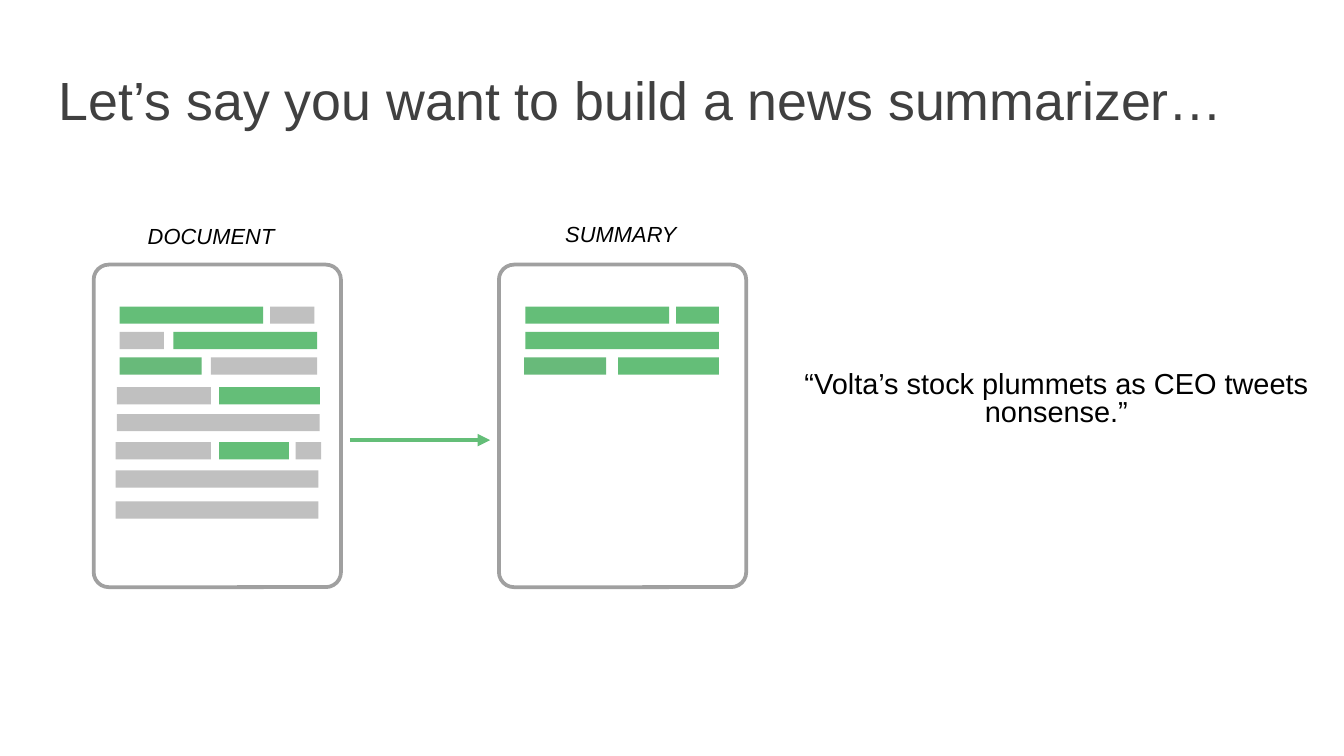
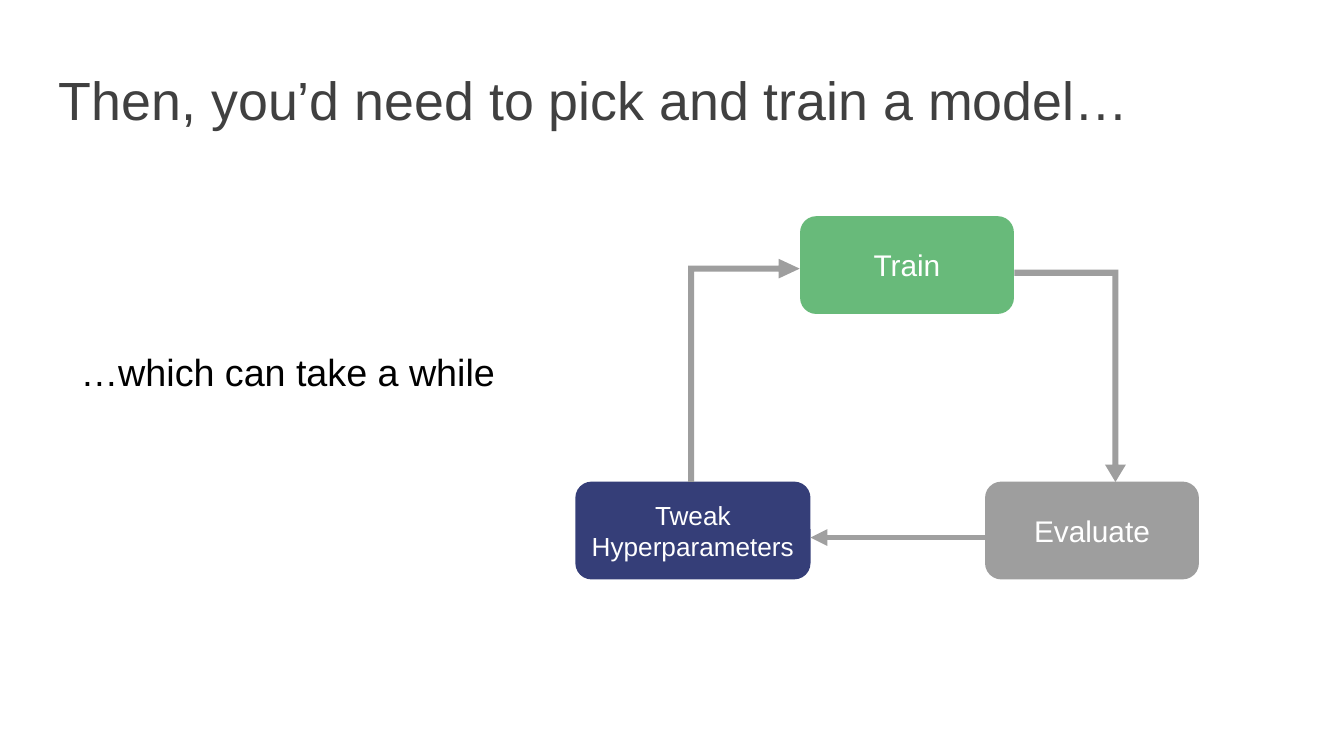
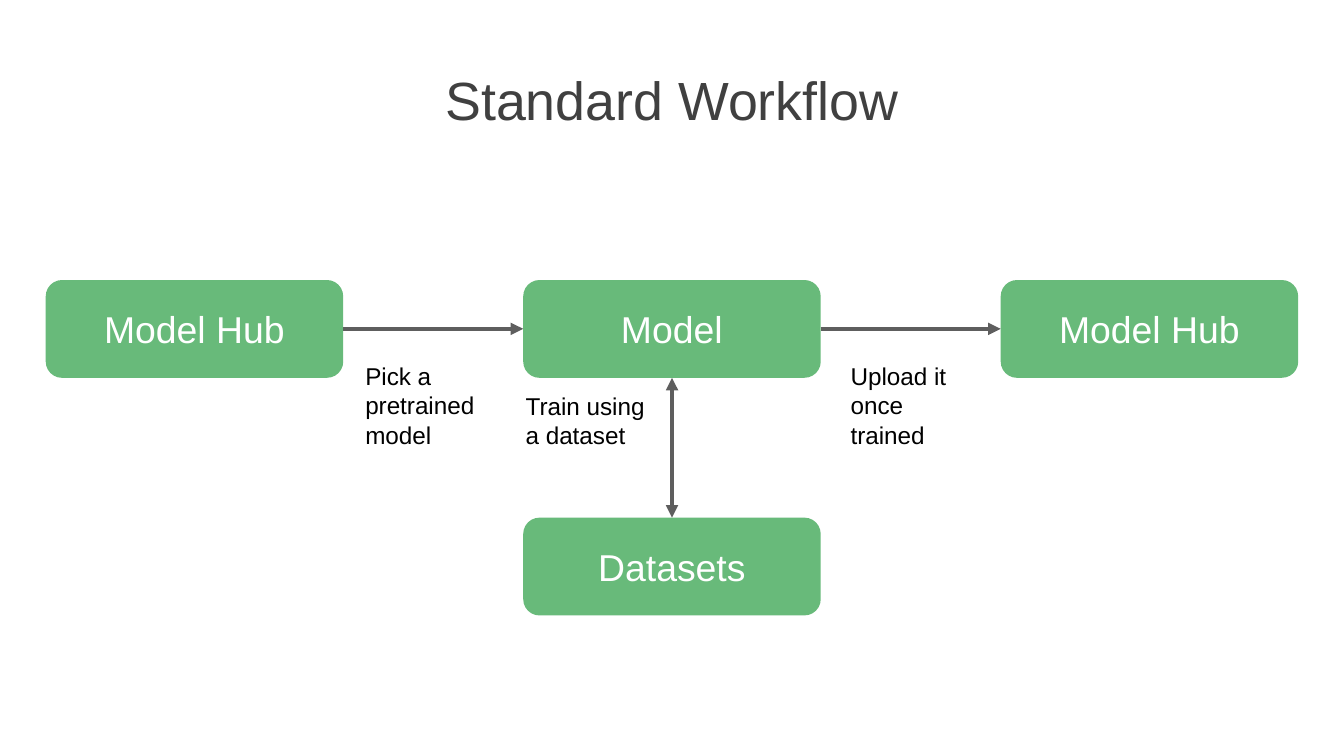
from lxml import etree
from pptx import Presentation
from pptx.dml.color import RGBColor
from pptx.enum.shapes import MSO_CONNECTOR, MSO_SHAPE
from pptx.enum.text import MSO_ANCHOR, PP_ALIGN
from pptx.oxml.ns import qn
from pptx.util import Pt

STRAIGHT = MSO_CONNECTOR.STRAIGHT
RECTANGLE = MSO_SHAPE.RECTANGLE
ROUNDED = MSO_SHAPE.ROUNDED_RECTANGLE
BENT_ARROW = MSO_SHAPE.BENT_UP_ARROW
TOP = MSO_ANCHOR.TOP
MIDDLE = MSO_ANCHOR.MIDDLE
LEFT = PP_ALIGN.LEFT
CENTER = PP_ALIGN.CENTER

FONT = "Arial"
BLACK = RGBColor(0x00, 0x00, 0x00)
WHITE = RGBColor(0xFF, 0xFF, 0xFF)
TITLE_GRAY = RGBColor(0x40, 0x40, 0x40)
ARROW_GRAY = RGBColor(0x5E, 0x5E, 0x5E)
BOX_GRAY = RGBColor(0x9E, 0x9E, 0x9E)
OUTLINE_GRAY = RGBColor(0xA0, 0xA0, 0xA0)
BAR_GRAY = RGBColor(0xC0, 0xC0, 0xC0)
GREEN = RGBColor(0x64, 0xBE, 0x78)
LEAF = RGBColor(0x68, 0xBA, 0x7A)
NAVY = RGBColor(0x35, 0x3E, 0x78)

TITLE = dict(size=28.8, color=TITLE_GRAY, spacing=0.8)
REMARK = dict(align=CENTER, spacing=0.8)
LABEL = dict(kind=ROUNDED, color=WHITE, align=CENTER, anchor=MIDDLE, inset=4.3)


def place(page, text, left, top, width, height, kind=None, fill=None, outline=None,
          adjust=(), size=13, color=BLACK, italic=False, align=LEFT, anchor=TOP,
          spacing=1.0, inset=7.2):
    area = Pt(left), Pt(top), Pt(width), Pt(height)
    if kind is None:
        box = page.shapes.add_textbox(*area)
    else:
        box = page.shapes.add_shape(kind, *area)
        box.shadow.inherit = False
        box.fill.solid()
        box.fill.fore_color.rgb = fill
        if outline is None:
            box.line.fill.background()
        else:
            box.line.color.rgb = outline
            box.line.width = Pt(2)
        for index, value in enumerate(adjust):
            box.adjustments[index] = value
    if text:
        frame = box.text_frame
        frame.word_wrap = True
        frame.vertical_anchor = anchor
        frame.margin_left = frame.margin_right = Pt(inset)
        frame.margin_top = frame.margin_bottom = Pt(inset)
        for index, words in enumerate(text.split("\n")):
            para = frame.add_paragraph() if index else frame.paragraphs[0]
            para.alignment = align
            para.line_spacing = spacing
            span = para.add_run()
            span.text = words
            span.font.name = FONT
            span.font.size = Pt(size)
            span.font.italic = italic
            span.font.color.rgb = color
    return box


def draw_arrow(page, start, end, color, width=2.25, heads=("tailEnd",)):
    arrow = page.shapes.add_connector(STRAIGHT, *map(Pt, start + end))
    arrow.line.color.rgb = color
    arrow.line.width = Pt(width)
    properties = arrow.element.spPr
    for head in heads:
        etree.SubElement(properties.find(qn("a:ln")), qn("a:" + head), type="triangle")
    etree.SubElement(properties, qn("a:effectLst"))


deck = Presentation()
deck.slide_width = Pt(720)
deck.slide_height = Pt(405)
blank = deck.slide_layouts[6]

page = deck.slides.add_slide(blank)
place(page, "Let’s say you want to build a news summarizer…", 24.5, 35.3, 671, 45.4, **TITLE)
place(page, "“Volta’s stock plummets as CEO tweets nonsense.”",
      411.8, 192.2, 308.2, 45.4, size=15.5, **REMARK)

document_rows = [
    (164.2, [(64.1, 77, GREEN), (144.7, 23.8, BAR_GRAY)]),
    (177.8, [(64.1, 23.8, BAR_GRAY), (92.9, 77, GREEN)]),
    (191.5, [(64.1, 43.9, LEAF), (113, 56.9, BAR_GRAY)]),
    (207.4, [(62.6, 50.4, BAR_GRAY), (117.4, 54, GREEN)]),
    (221.8, [(62.6, 108.7, BAR_GRAY)]),
    (236.9, [(61.9, 51.1, BAR_GRAY), (117.4, 37.4, GREEN), (158.4, 13.7, BAR_GRAY)]),
    (252, [(61.9, 108.7, BAR_GRAY)]),
    (268.6, [(61.9, 108.7, BAR_GRAY)]),
]
summary_rows = [
    (164.2, [(281.5, 77, GREEN), (362.2, 23, GREEN)]),
    (177.8, [(281.5, 103.7, GREEN)]),
    (191.5, [(280.8, 43.9, LEAF), (331.2, 54, GREEN)]),
]
for name, name_left, name_top, name_width, sheet_left, rows in [
    ("DOCUMENT", 67, 116.6, 92.2, 50.2, document_rows),
    ("SUMMARY", 280.8, 115.4, 103.7, 267.3, summary_rows),
]:
    place(page, "", sheet_left, 141.8, 132.5, 172.8, kind=ROUNDED,
          fill=WHITE, outline=OUTLINE_GRAY, adjust=[0.061])
    for top, bars in rows:
        for left, width, color in bars:
            place(page, "", left, top, width, 9.2, kind=RECTANGLE, fill=color)
    place(page, name, name_left, name_top, name_width, 45.4,
          size=11.7, italic=True, **REMARK)
draw_arrow(page, (187.5, 235.8), (262.6, 235.8), GREEN)

page = deck.slides.add_slide(blank)
place(page, "Then, you’d need to pick and train a model…", 24.5, 35.3, 671, 45.4, **TITLE)
place(page, "…which can take a while", 0, 184.3, 308.2, 45.4, size=20.2, **REMARK)
for name, left, top, width, size, fill in [
    ("Train", 428.6, 115.8, 114.6, 16, LEAF),
    ("Evaluate", 527.7, 258, 114.6, 16, BOX_GRAY),
    ("Tweak\nHyperparameters", 308.2, 258, 126, 14, NAVY),
]:
    place(page, name, left, top, width, 52.4, size=size, fill=fill, **LABEL)
for left, top, width, height, turn, adjust in [
    (543.4, 144.5, 59.8, 113.7, 180, (0.055, 0.094, 0.156)),
    (338.8, 168.5, 119.5, 59.8, 90, (0.055, 0.088, 0.189)),
]:
    bend = place(page, "", left, top, width, height, kind=BENT_ARROW,
                 fill=BOX_GRAY, adjust=adjust)
    bend.rotation = turn
    bend.element.spPr.find(qn("a:xfrm")).set("flipH", "1")
draw_arrow(page, (527.7, 288), (434.2, 288), OUTLINE_GRAY, width=3)

page = deck.slides.add_slide(blank)
place(page, "Standard Workflow", 0, 35.3, 720, 45.4, align=CENTER, **TITLE)
for name, left, top in [
    ("Model Hub", 24.5, 150),
    ("Model", 280.3, 150),
    ("Model Hub", 536.1, 150),
    ("Datasets", 280.3, 277.3),
]:
    place(page, name, left, top, 159.4, 52.4, size=20, fill=LEAF, **LABEL)
for step, left, top, height in [
    ("Pick a pretrained model", 188.6, 186.5, 61.9),
    ("Upload it once trained", 448.6, 186.5, 61.9),
    ("Train using a dataset", 274.5, 202.3, 46.1),
]:
    place(page, step, left, top, 78.5, height)
for start in (183.9, 439.7):
    draw_arrow(page, (start, 176.2), (start + 96.4, 176.2), ARROW_GRAY)
draw_arrow(page, (360, 202.4), (360, 277.3), ARROW_GRAY, heads=("headEnd", "tailEnd"))

deck.save("out.pptx")
